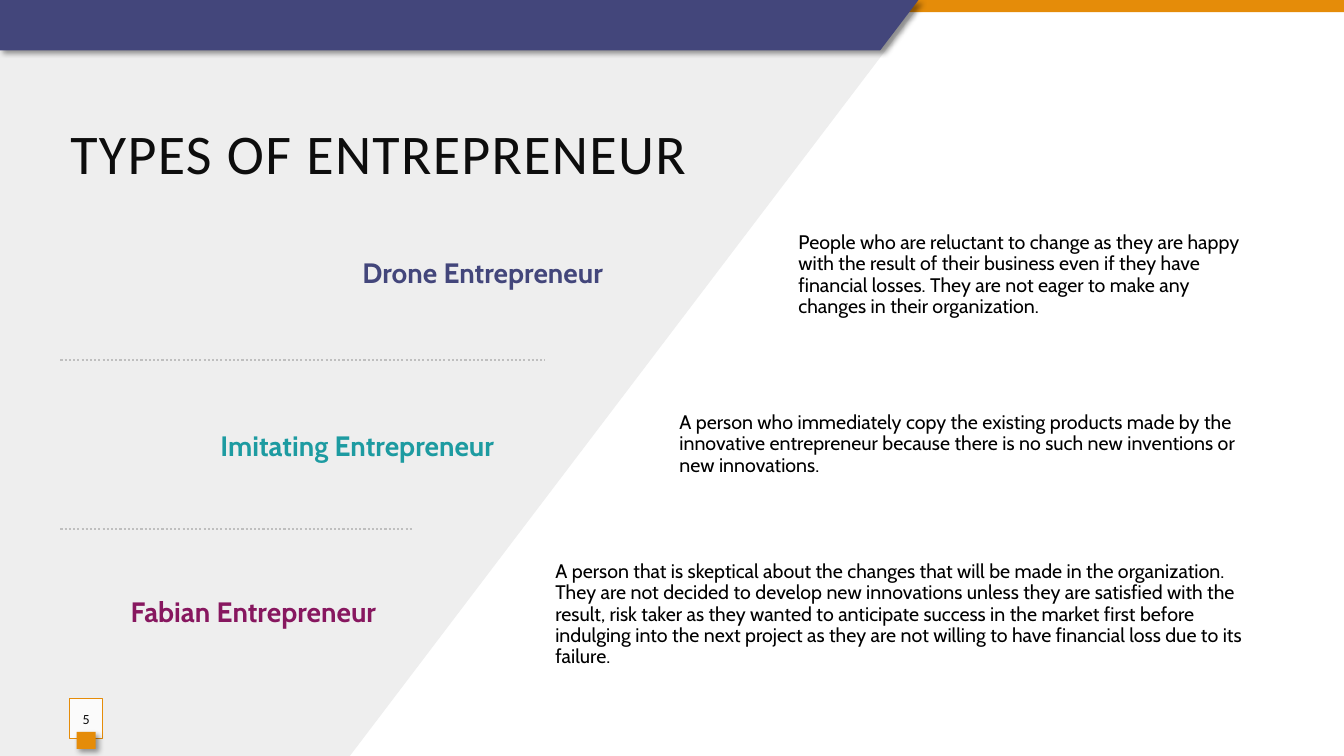
from pptx import Presentation
from pptx.dml.color import RGBColor
from pptx.enum.dml import MSO_LINE_DASH_STYLE as Dash
from pptx.enum.shapes import MSO_CONNECTOR as Connector, MSO_SHAPE as Shape
from pptx.enum.text import MSO_ANCHOR as Anchor, PP_ALIGN as Align
from pptx.oxml import parse_xml
from pptx.oxml.ns import nsdecls, qn
from pptx.util import Inches, Pt
from lxml.etree import SubElement

COLORS = {
    "indigo": "43467B", "teal": "1D9BA1", "plum": "87175F", "orange": "E58C09",
    "panel": "EEEEEE", "rule": "BFBFBF", "white": "FFFFFF", "ink": "0D0D0D",
    "black": "000000",
}
WIDTH, HEIGHT = 133.3, 75  # columns and rows, ten to the inch


def grid(cells):
    return Inches(cells / 10)


class Deck:
    def __init__(self):
        self.prs = Presentation()
        self.prs.slide_width, self.prs.slide_height = grid(WIDTH), grid(HEIGHT)
        self.slide = self.prs.slides.add_slide(self.prs.slide_layouts[6])
        self.shapes = self.slide.shapes

    def paint(self, shape, fill, line=None, alpha=None, shadow=False):
        shape.shadow.inherit = False
        shape.fill.solid()
        shape.fill.fore_color.rgb = RGBColor.from_string(COLORS[fill])
        if alpha:
            color = shape._element.spPr.find(qn("a:solidFill"))[0]
            SubElement(color, qn("a:alpha"), val=str(alpha * 1000))
        if line:
            shape.line.color.rgb = RGBColor.from_string(COLORS[line])
            shape.line.width = Pt(0.75)
        else:
            shape.line.fill.background()
        if shadow:
            effects = shape._element.spPr.find(qn("a:effectLst"))
            effects.append(parse_xml(
                f'<a:outerShdw {nsdecls("a")} blurRad="{Pt(4)}" dist="{Pt(3)}" '
                f'dir="{45 * 60000}" algn="tl" rotWithShape="0">'
                f'<a:srgbClr val="{COLORS["black"]}"><a:alpha val="40000"/>'
                '</a:srgbClr></a:outerShdw>'))
        return shape

    def outline(self, points, fill, **style):
        corners = [(grid(x), grid(y)) for x, y in points]
        builder = self.shapes.build_freeform(*corners[0])
        builder.add_line_segments(corners[1:], close=True)
        return self.paint(builder.convert_to_shape(), fill, **style)

    def block(self, x, y, w, h, fill, **style):
        box = self.shapes.add_shape(Shape.RECTANGLE, *map(grid, (x, y, w, h)))
        return self.paint(box, fill, **style)

    def set_text(self, frame, words, size, color, font="Cabin", bold=False,
                 align=Align.LEFT, leading=None):
        frame.word_wrap = True
        frame.vertical_anchor = Anchor.MIDDLE
        line = frame.paragraphs[0]
        line.text = words
        line.alignment = align
        line.line_spacing = leading
        line.font.size, line.font.name, line.font.bold = Pt(size), font, bold
        line.font.color.rgb = RGBColor.from_string(COLORS[color])
        return line

    def text(self, x, y, w, h, words, size, color, **style):
        box = self.shapes.add_textbox(*map(grid, (x, y, w, h)))
        return self.set_text(box.text_frame, words, size, color, **style)

    def dotted_rule(self, x, y, length):
        rule = self.shapes.add_connector(
            Connector.STRAIGHT, grid(x), grid(y), grid(x + length), grid(y))
        rule.line.color.rgb = RGBColor.from_string(COLORS["rule"])
        rule.line.width = Pt(1.5)
        rule.line.dash_style = Dash.ROUND_DOT
        SubElement(rule._element.spPr, qn("a:effectLst"))


def main():
    deck = Deck()

    # Backdrop
    deck.outline([(0, 0), (91.1, 0), (91.1, 0.7), (34.7, HEIGHT), (0, HEIGHT)], "panel")
    deck.block(0, 0, WIDTH, 1.2, "orange")
    deck.outline([(0, 0), (91.1, 0), (87.3, 5), (0, 5)], "indigo", shadow=True)

    # Title
    title = deck.text(6, 11.2, 118.2, 7.7, "TYPES OF ENTREPRENEUR", 40, "ink", font="Calibri")
    title.runs[0].font._element.set("spc", "100")

    # Types: heading, colour, (left, top, width), description, (left, top)
    types = [
        ("Drone Entrepreneur", "indigo", (6.8, 24.9, 54),
         "People who are reluctant to change as they are happy with the result of their "
         "business even if they have financial losses. They are not eager to make any "
         "changes in their organization.", (78.2, 22.3)),
        ("Imitating Entrepreneur", "teal", (6, 42.1, 44),
         "A person who immediately copy the existing products made by the innovative "
         "entrepreneur because there is no such new inventions or new innovations.",
         (66.4, 39.1)),
        ("Fabian Entrepreneur", "plum", (6, 58.6, 32.3),
         "A person that is skeptical about the changes that will be made in the "
         "organization. They are not decided to develop new innovations unless they are "
         "satisfied with the result, risk taker as they wanted to anticipate success in "
         "the market first before indulging into the next project as they are not willing "
         "to have financial loss due to its failure.", (54.1, 56)),
    ]
    right_edge = 125.4
    for heading, color, place, description, (left, top) in types:
        deck.text(*place, 4.6, heading, 20, color, bold=True, align=Align.RIGHT, leading=0.9)
        deck.text(left, top, right_edge - left, 10, description, 14, "black", leading=0.9)

    # Rules between the types
    for y, length in ((35.7, 48), (52.5, 35)):
        deck.dotted_rule(6, y, length)

    # Page number
    page = deck.block(6.9, 69.3, 3.3, 4, "white", line="orange", alpha=82)
    page.text_frame.margin_left = page.text_frame.margin_right = 0
    deck.set_text(page.text_frame, "5", 10, "ink", font="Calibri", align=Align.CENTER)
    deck.block(7.6, 72.6, 1.9, 1.7, "orange", shadow=True)

    deck.prs.save("out.pptx")


if __name__ == "__main__":
    main()
